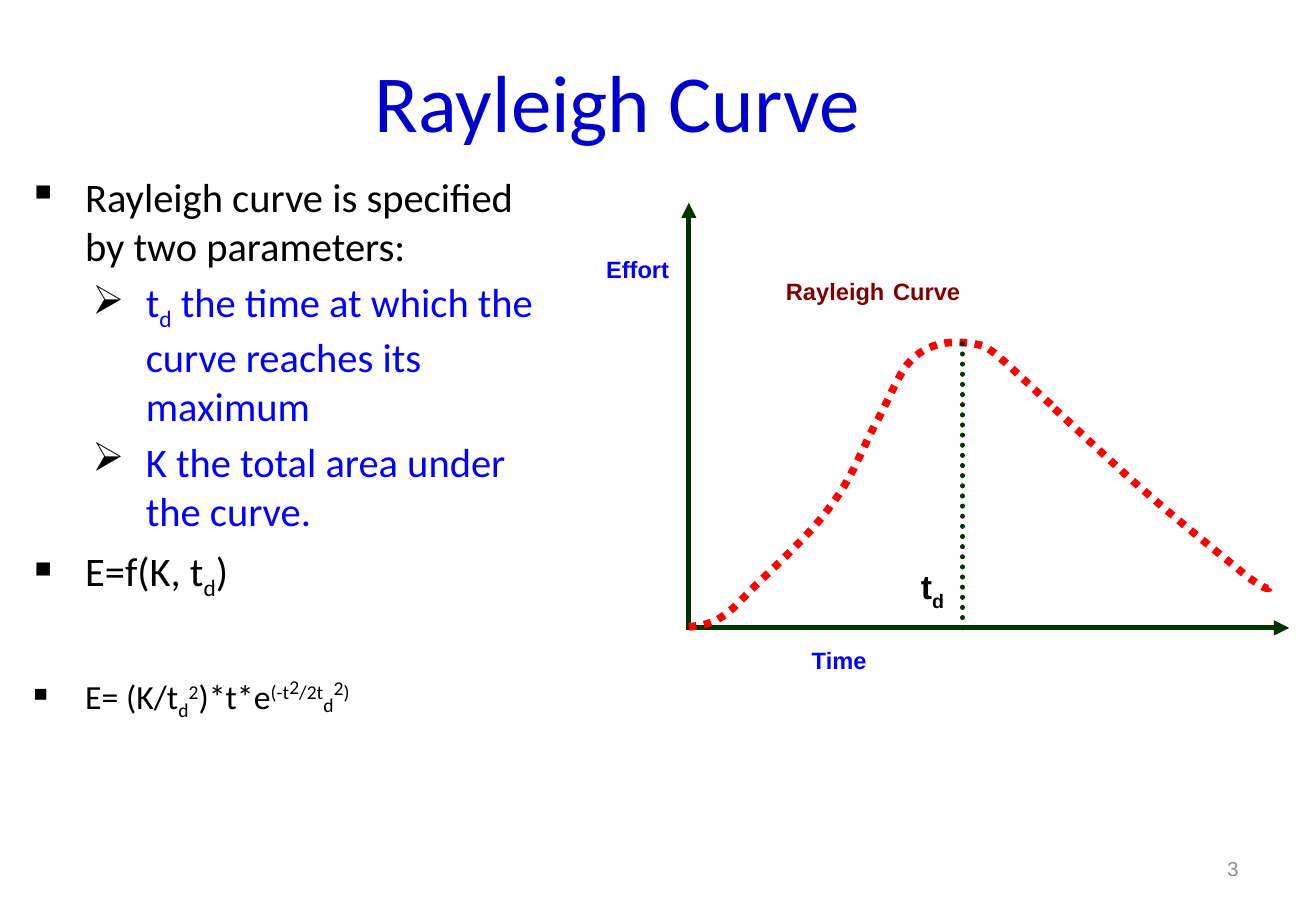
from dataclasses import dataclass
from typing import NamedTuple

from lxml.etree import SubElement
from pptx import Presentation
from pptx.dml.color import RGBColor
from pptx.enum.dml import MSO_LINE
from pptx.enum.shapes import MSO_CONNECTOR
from pptx.enum.text import MSO_ANCHOR, PP_ALIGN
from pptx.oxml.ns import qn
from pptx.slide import Slide
from pptx.util import Cm, Pt


@dataclass(frozen=True)
class Theme:
    heading_font: str = "Calibri"
    label_font: str = "Arial"
    title_blue: str = "0000CC"
    blue: str = "0000FF"
    black: str = "000000"
    green: str = "003300"
    red: str = "FF0000"
    maroon: str = "800000"
    grey: str = "898989"
    title_size: int = 48
    body_size: int = 24
    formula_size: int = 20
    label_size: int = 14
    gap_size: int = 18
    number_size: int = 12


THEME = Theme()


class Piece(NamedTuple):
    text: str
    baseline: int = 0  # percent above or below the line
    size: int | None = None


class Para(NamedTuple):
    pieces: list[Piece]
    size: int
    color: str
    font: str = THEME.heading_font
    bold: bool = False
    bullet: str = ""
    left: float = 0
    hanging: float = 0
    layout: dict = {}


class Block(NamedTuple):
    box: tuple[float, float, float, float]
    paras: list[Para]
    anchor: MSO_ANCHOR = MSO_ANCHOR.TOP
    side_inset: float = 0.05


class Rule(NamedTuple):
    start: tuple[float, float]
    end: tuple[float, float]
    ends: dict[str, str]  # line-end element and its arrowhead
    dotted: bool = False


def point(text: str | list[Piece], before: float, size: int = THEME.body_size) -> Para:
    pieces = [Piece(text)] if isinstance(text, str) else text
    return Para(pieces, size, THEME.black, bullet="▪", left=1.27, hanging=1.19,
                layout={"space_before": Pt(before)})


def subpoint(pieces: list[Piece]) -> Para:
    return Para(pieces, THEME.body_size, THEME.blue, bullet="➢", left=2.54,
                hanging=1.12, layout={"space_before": Pt(4.5)})


def label(box: tuple[float, float, float, float], pieces: list[Piece],
          color: str, size: int = THEME.label_size) -> Block:
    return Block(box, [Para(pieces, size, color, THEME.label_font, True,
                            layout={"line_spacing": 0.72})])


BLOCKS = [
    # Slide number
    Block((19.71, 17.65, 6.43, 1.02),
          [Para([Piece("3")], THEME.number_size, THEME.grey, THEME.label_font,
                layout={"alignment": PP_ALIGN.RIGHT})], MSO_ANCHOR.MIDDLE, 0.25),
    # Title
    Block((1.22, 0.51, 23.37, 3.18),
          [Para([Piece("Rayleigh Curve")], THEME.title_size, THEME.title_blue,
                layout={"alignment": PP_ALIGN.CENTER})], MSO_ANCHOR.MIDDLE),
    # Parameters and formulas
    Block((0.46, 3.48, 10.77, 9.14), [
        point("Rayleigh curve is specified by two parameters:", 0),
        subpoint([Piece("t"), Piece("d", -25),
                  Piece(" the time at which the curve reaches its maximum")]),
        subpoint([Piece("K the total area under the curve.")]),
        point([Piece("E=f(K, t"), Piece("d", -25), Piece(")")], 7.1),
        point([Piece("E= (K/t"), Piece("d", -25), Piece("2", 30), Piece(")*t*e"),
               Piece("(-t", 30), Piece("2", 44), Piece("/2t", 30), Piece("d", -10),
               Piece("2", 40), Piece(")", 30)], 43.5, THEME.formula_size),
    ]),
    # Diagram labels
    label((12.62, 5.36, 2.95, 1.27), [Piece("Effort")], THEME.blue),
    label((16.92, 13.54, 5.49, 1.27), [Piece("Time")], THEME.blue),
    label((19.2, 11.86, 1.6, 1.09), [Piece("t"), Piece("d", -25)],
          THEME.black, THEME.formula_size),
    label((16.38, 5.72, 9.63, 1.27),
          [Piece("Rayleigh"), Piece(" ", size=THEME.gap_size), Piece("Curve")],
          THEME.maroon),
]

AXES = [
    Rule((14.4, 4.24), (14.4, 13.13), {"a:headEnd": "triangle"}),
    Rule((14.33, 13.13), (26.95, 13.13), {"a:tailEnd": "triangle"}),
]
PEAK_MARK = Rule((20.12, 7.19), (20.12, 13.13), {}, dotted=True)

# Start point, then two control points and an end point per curve segment
CURVE = [
    (14.4, 13.11),
    (14.63, 13.08), (14.86, 13.06), (15.09, 12.9),
    (15.32, 12.75), (15.39, 12.65), (15.77, 12.27),
    (16.15, 11.89), (16.97, 11.15), (17.37, 10.57),
    (17.81, 10.01), (18.03, 9.37), (18.29, 8.89),
    (18.57, 8.38), (18.75, 7.9), (18.97, 7.62),
    (19.2, 7.34), (19.43, 7.26), (19.66, 7.19),
    (19.91, 7.14), (20.17, 7.16), (20.37, 7.19),
    (20.55, 7.24), (20.55, 7.19), (20.83, 7.42),
    (21.08, 7.62), (21.74, 8.26), (21.97, 8.46),
    (22.2, 8.69), (21.84, 8.36), (22.2, 8.69),
    (22.53, 8.99), (23.37, 9.8), (24.03, 10.36),
    (24.66, 10.92), (25.68, 11.73), (26.09, 12.07),
    (26.52, 12.37), (26.52, 12.32), (26.54, 12.27),
]


def apply(target: object, values: dict) -> None:
    for name, value in values.items():
        setattr(target, name, value)


def draw_block(slide: Slide, block: Block) -> None:
    frame = slide.shapes.add_textbox(*map(Cm, block.box)).text_frame
    inset = Cm(block.side_inset)
    apply(frame, {"word_wrap": True, "vertical_anchor": block.anchor,
                  "margin_left": inset, "margin_right": inset})
    for index, para in enumerate(block.paras):
        line = frame.add_paragraph() if index else frame.paragraphs[0]
        if para.bullet:
            props = line._p.get_or_add_pPr()
            props.set("marL", str(Cm(para.left)))
            props.set("indent", str(-Cm(para.hanging)))
            SubElement(SubElement(props, qn("a:buClr")), qn("a:srgbClr"), val=THEME.black)
            SubElement(props, qn("a:buChar"), char=para.bullet)
        apply(line, para.layout)
        for piece in para.pieces:
            run = line.add_run()
            run.text = piece.text
            apply(run.font, {"name": para.font, "size": Pt(piece.size or para.size),
                             "bold": para.bold})
            run.font.color.rgb = RGBColor.from_string(para.color)
            if piece.baseline:
                run._r.get_or_add_rPr().set("baseline", str(piece.baseline * 1000))


def draw_rule(slide: Slide, rule: Rule) -> None:
    connector = slide.shapes.add_connector(
        MSO_CONNECTOR.STRAIGHT, *map(Cm, rule.start + rule.end))
    connector.line.color.rgb = RGBColor.from_string(THEME.green)
    connector.line.width = Pt(3)
    stroke = connector.line._get_or_add_ln()
    if rule.dotted:
        connector.line.dash_style = MSO_LINE.ROUND_DOT
        stroke.set("cap", "rnd")
    for tag, arrow in rule.ends.items():
        SubElement(stroke, qn(tag), type=arrow)
    SubElement(connector._element.spPr, qn("a:effectLst"))


def draw_curve(slide: Slide) -> None:
    start, *rest = [(Cm(x), Cm(y)) for x, y in CURVE]
    builder = slide.shapes.build_freeform(*start)
    builder.add_line_segments(rest, close=False)
    curve = builder.convert_to_shape()
    # Join every three straight steps into one Bézier segment
    steps = list(curve._element.iter(qn("a:lnTo")))
    for first in range(0, len(steps), 3):
        outline = steps[first].getparent()
        segment = SubElement(outline, qn("a:cubicBezTo"))
        for step in steps[first:first + 3]:
            segment.append(step[0])
            outline.remove(step)
    curve.shadow.inherit = False
    curve.fill.background()
    curve.line.color.rgb = RGBColor.from_string(THEME.red)
    apply(curve.line, {"width": Pt(4.5), "dash_style": MSO_LINE.ROUND_DOT})


def main() -> None:
    deck = Presentation()
    apply(deck, {"slide_width": Cm(27.51), "slide_height": Cm(19.05)})
    slide = deck.slides.add_slide(deck.slide_layouts[6])
    for axis in AXES:
        draw_rule(slide, axis)
    draw_curve(slide)
    draw_rule(slide, PEAK_MARK)
    for block in BLOCKS:
        draw_block(slide, block)
    deck.save("out.pptx")


if __name__ == "__main__":
    main()
